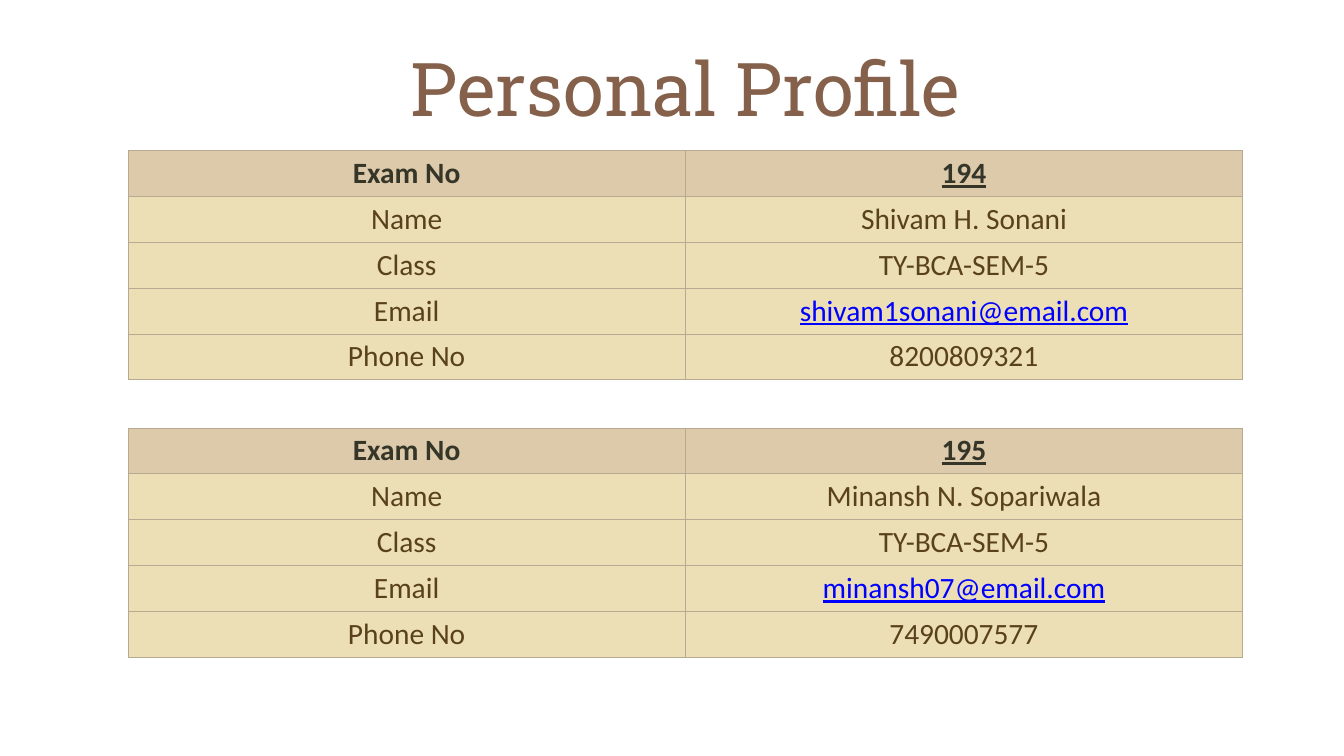
from lxml.etree import SubElement
from pptx import Presentation
from pptx.dml.color import RGBColor
from pptx.enum.text import MSO_ANCHOR, MSO_AUTO_SIZE, PP_ALIGN
from pptx.oxml.ns import qn
from pptx.util import Cm, Pt

TITLE_BROWN = RGBColor(0x85, 0x60, 0x4A)
HEADER_TEXT = RGBColor(0x35, 0x35, 0x28)
BODY_TEXT = RGBColor(0x59, 0x41, 0x1C)
EMAIL_BLUE = RGBColor(0x00, 0x00, 0xFF)
HEADER_FILL = RGBColor(0xDC, 0xCA, 0xAB)
BODY_FILL = RGBColor(0xEC, 0xDE, 0xB5)
BORDER = RGBColor(0xB8, 0xA9, 0x92)

LEFT = Cm(6.45)
COLUMN_WIDTH = Cm(28.09)
ROW_HEIGHT = Cm(2.31)
INSET = Cm(0.15)

LABELS = ["Exam No", "Name", "Class", "Email", "Phone No"]
PROFILES = [
    (Cm(7.59), ["194", "Shivam H. Sonani", "TY-BCA-SEM-5",
                "shivam1sonani@email.com", "8200809321"]),
    (Cm(21.56), ["195", "Minansh N. Sopariwala", "TY-BCA-SEM-5",
                 "minansh07@email.com", "7490007577"]),
]


def add_borders(cell):
    properties = cell._tc.get_or_add_tcPr()
    for side in ("lnL", "lnR", "lnT", "lnB"):
        line = SubElement(properties, qn(f"a:{side}"), w=str(Pt(1)))
        fill = SubElement(line, qn("a:solidFill"))
        SubElement(fill, qn("a:srgbClr"), val=str(BORDER))


presentation = Presentation()
presentation.slide_width = Cm(67.74)
presentation.slide_height = Cm(38.1)
slide = presentation.slides.add_slide(presentation.slide_layouts[5])

# Title
title = slide.shapes.title
title.left, title.top, title.width, title.height = LEFT, Cm(-2.57), Cm(56.23), Cm(13.89)
heading = title.text_frame
heading.text = "Personal Profile"
heading.word_wrap = True
heading.auto_size = MSO_AUTO_SIZE.NONE
heading.vertical_anchor = MSO_ANCHOR.MIDDLE
heading.margin_left = heading.margin_right = INSET
heading.margin_top = heading.margin_bottom = INSET
heading.paragraphs[0].alignment = PP_ALIGN.CENTER
heading_font = heading.paragraphs[0].runs[0].font
heading_font.name = "Roboto Slab"
heading_font.size = Pt(106)
heading_font.color.rgb = TITLE_BROWN

# One table per student
for top, details in PROFILES:
    profile = slide.shapes.add_table(len(LABELS), 2, LEFT, top, COLUMN_WIDTH * 2,
                                     ROW_HEIGHT * len(LABELS)).table
    profile.horz_banding = False
    for column in profile.columns:
        column.width = COLUMN_WIDTH
    for row, entry in enumerate(zip(LABELS, details)):
        profile.rows[row].height = ROW_HEIGHT
        is_header = row == 0
        for column, text in enumerate(entry):
            is_email = column == 1 and LABELS[row] == "Email"
            cell = profile.cell(row, column)
            add_borders(cell)
            cell.fill.solid()
            cell.fill.fore_color.rgb = HEADER_FILL if is_header else BODY_FILL
            cell.vertical_anchor = MSO_ANCHOR.MIDDLE
            cell.margin_left = cell.margin_right = INSET
            cell.margin_top = cell.margin_bottom = INSET

            paragraph = cell.text_frame.paragraphs[0]
            paragraph.text = text
            paragraph.alignment = PP_ALIGN.CENTER
            font = paragraph.runs[0].font
            font.name = "Calibri"
            font.size = Pt(42)
            font.bold = is_header
            font.underline = is_email or (is_header and column == 1)
            if is_email:
                font.color.rgb = EMAIL_BLUE
            else:
                font.color.rgb = HEADER_TEXT if is_header else BODY_TEXT

presentation.save("out.pptx")
